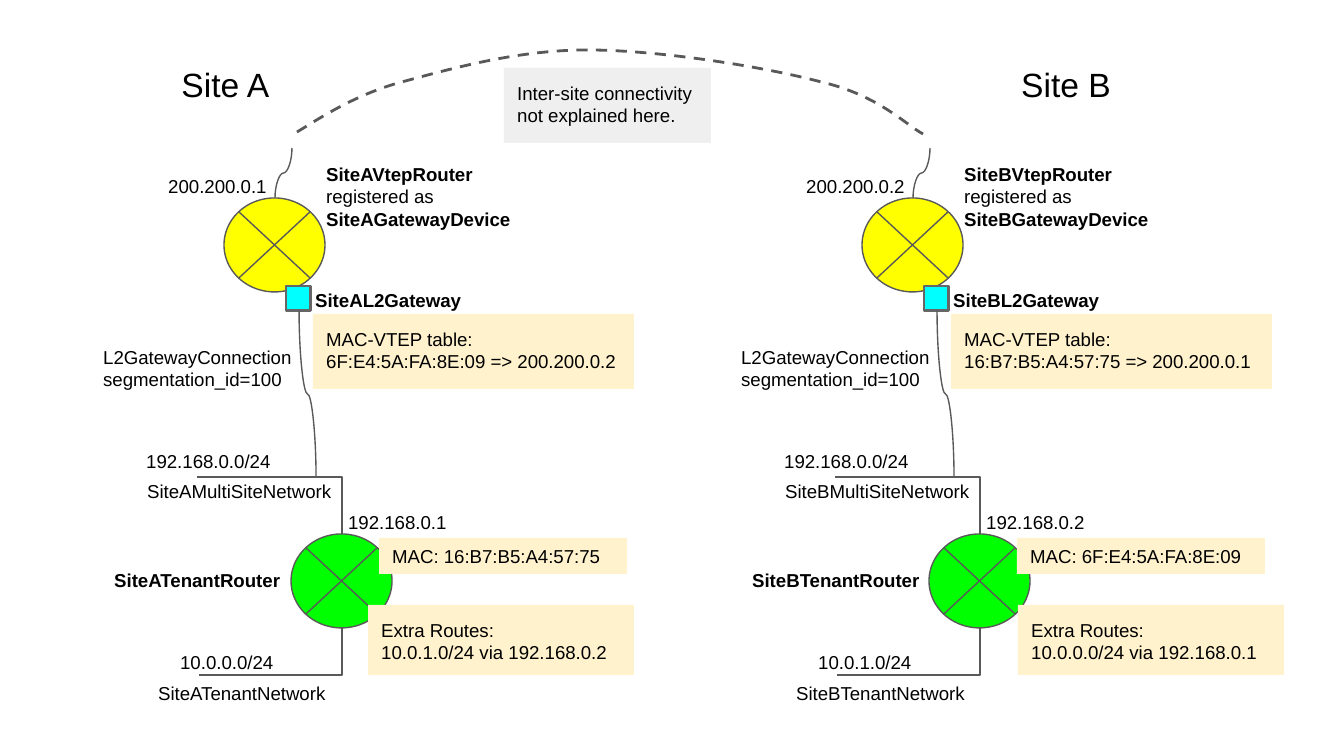
from dataclasses import dataclass
from lxml import etree
from pptx import Presentation
from pptx.dml.color import RGBColor
from pptx.enum.dml import MSO_LINE
from pptx.enum.shapes import MSO_CONNECTOR, MSO_SHAPE
from pptx.enum.text import MSO_ANCHOR, MSO_AUTO_SIZE, PP_ALIGN
from pptx.oxml.ns import qn
from pptx.util import Emu, Pt

RECT = MSO_SHAPE.RECTANGLE
JUNCTION = MSO_SHAPE.FLOWCHART_SUMMING_JUNCTION
ELBOW, CURVE = MSO_CONNECTOR.ELBOW, MSO_CONNECTOR.CURVE
TOP, MIDDLE = MSO_ANCHOR.TOP, MSO_ANCHOR.MIDDLE
DASH = MSO_LINE.DASH
SCALE = 914400 / 134.4
SHIFT = 638
TITLE_ONLY = 5


@dataclass(frozen=True)
class Theme:
    font: str = "Arial"
    head: int = 18
    body: int = 10
    ink: str = "000000"
    wire: str = "595959"
    edge: str = "666666"
    vtep: str = "FFFF00"
    tenant: str = "00FF00"
    port: str = "00FFFF"
    note: str = "FFF2CC"
    aside: str = "EFEFEF"
    thin: float = 0.75
    thick: float = 1.5


THEME = Theme()


def px(num):
    return Emu(round(num * SCALE))


def rgb(code):
    return RGBColor.from_string(code)


def put(obj, **vals):
    for name, val in vals.items():
        setattr(obj, name, val)


def place(shape, box):
    put(shape, **dict(zip(("left", "top", "width", "height"), map(px, box))))


def stroke(line, color, width):
    line.color.rgb = rgb(color)
    line.width = Pt(width)


def write(shape, text, size=THEME.body, anchor=MIDDLE):
    frame = shape.text_frame
    pad = px(13.44)
    put(frame, word_wrap=True, auto_size=MSO_AUTO_SIZE.NONE, vertical_anchor=anchor,
        margin_left=pad, margin_right=pad, margin_top=pad, margin_bottom=pad)
    for num, row in enumerate(text.split("\n")):
        para = frame.add_paragraph() if num else frame.paragraphs[0]
        para.alignment = PP_ALIGN.LEFT
        for part in row.split("|"):
            run = para.add_run()
            run.text = part.lstrip("*")
            put(run.font, name=THEME.font, size=Pt(size), bold=part.startswith("*"))
            run.font.color.rgb = rgb(THEME.ink)


def label(slide, box, text, size=THEME.body):
    write(slide.shapes.add_textbox(*map(px, box)), text, size)


def block(slide, kind, box, fill, edge=None, width=THEME.thin):
    shape = slide.shapes.add_shape(kind, *map(px, box))
    shape.shadow.inherit = False
    shape.fill.solid()
    shape.fill.fore_color.rgb = rgb(fill)
    if edge:
        stroke(shape.line, edge, width)
    else:
        shape.line.fill.background()
    return shape


def note(slide, box, text, fill=THEME.note, anchor=TOP):
    write(block(slide, RECT, box, fill), text, anchor=anchor)


def wire(slide, kind, preset, start, end):
    (ax, ay), (bx, by) = start, end
    long, wide = abs(by - ay), abs(bx - ax)
    x, y = (ax + bx - long) / 2, (ay + by - wide) / 2
    link = slide.shapes.add_connector(kind, px(x), px(y), px(x + long), px(y + wide))
    stroke(link.line, THEME.wire, THEME.thin)
    props = link._element.spPr
    etree.SubElement(props, qn("a:effectLst"))
    props.find(qn("a:prstGeom")).set("prst", preset)
    left, down = bx < ax, by > ay
    frame = props.find(qn("a:xfrm"))
    frame.set("rot", str((90 if left else 270) * 60000))
    if left != down:
        frame.set("flipH", "1")


def arc(slide, points):
    pen = slide.shapes.build_freeform(*points[0], scale=SCALE)
    pen.add_line_segments(points[1:], close=False)
    shape = pen.convert_to_shape()
    shape.shadow.inherit = False
    shape.fill.background()
    stroke(shape.line, THEME.wire, THEME.thick)
    shape.line.dash_style = DASH
    steps = list(shape._element.iter(qn("a:lnTo")))
    for num in range(0, len(steps), 3):
        first, *rest = steps[num:num + 3]
        first.tag = qn("a:cubicBezTo")
        curve = etree.Element(qn("a:cubicBezTo"))
        first.getparent().replace(first, curve)
        curve.append(first[0])
        for step in rest:
            curve.append(step[0])
            step.getparent().remove(step)


def site(slide, name, dx, vtep, gate, mac, peer, far, net, route, inset):
    def at(x, *rest):
        return (x + dx, *rest)

    block(slide, JUNCTION, at(291, 534, 101, 94), THEME.tenant, THEME.wire)
    block(slide, JUNCTION, at(224, 198, 101, 94), THEME.vtep, THEME.wire)
    block(slide, RECT, at(286, 286, 25, 25), THEME.port, THEME.edge, THEME.thick)
    for kind, preset, start, end in (
        (ELBOW, "bentConnector2", (342, 628), (199, 675)),
        (ELBOW, "bentConnector2", (342, 534), (197, 477)),
        (CURVE, "curvedConnector3", (275, 198), (292, 148)),
        (CURVE, "curvedConnector3", (299, 311), (316, 477)),
    ):
        wire(slide, kind, preset, at(*start), at(*end))
    for box, text in (
        ((155, 168, 128, 36), vtep),
        ((313, 159, 223, 75), f"*{name}VtepRouter\nregistered as|* {name}GatewayDevice"),
        ((302, 282, 199, 36), f"*{name}L2Gateway"),
        ((90, 339, 234, 58), "L2GatewayConnection\nsegmentation_id=100"),
        ((133, 448, 216, 26), "192.168.0.0/24"),
        ((134, 473, 215, 36), f"{name}MultiSiteNetwork"),
        ((335, 504, 216, 36), gate),
        ((101, 562, 199, 36), f"*{name}TenantRouter"),
        ((167, 649, 216, 26), net),
        ((145, 675, 207, 36), f"{name}TenantNetwork"),
    ):
        label(slide, at(*box), text)
    note(slide, at(313, 314, 321, 75), f"MAC-VTEP table:\n{peer} => {far}")
    note(slide, at(379, 538, 248, 36), f"MAC: {mac}", anchor=MIDDLE)
    note(slide, at(inset, 605, 266, 70), f"Extra Routes:\n{route}")


def main():
    deck = Presentation()
    put(deck, slide_width=px(1344), slide_height=px(756))
    slide = deck.slides.add_slide(deck.slide_layouts[TITLE_ONLY])
    title = slide.shapes.title
    place(title, (168, 66, 118, 36))
    write(title, "Site A", THEME.head)
    label(slide, (1008, 66, 118, 36), "Site B", THEME.head)
    mac_a, mac_b = "16:B7:B5:A4:57:75", "6F:E4:5A:FA:8E:09"
    vtep_a, vtep_b = "200.200.0.1", "200.200.0.2"
    gate_a, gate_b = "192.168.0.1", "192.168.0.2"
    net_a, net_b = "10.0.0.0/24", "10.0.1.0/24"
    site(slide, "SiteA", 0, vtep_a, gate_a, mac_a, mac_b, vtep_b,
         net_a, f"{net_b} via {gate_b}", 368)
    site(slide, "SiteB", SHIFT, vtep_b, gate_b, mac_b, mac_a, vtep_a,
         net_b, f"{net_a} via {gate_a}", 380)
    arc(slide, [(297, 132), (314, 122), (353, 95), (402, 82), (450, 69),
                (517, 50), (587, 50), (659, 50), (765, 67), (821, 82),
                (878, 95), (906, 125), (923, 134)])
    note(slide, (504, 68, 207, 75), "Inter-site connectivity not explained here.",
         THEME.aside)
    deck.save("out.pptx")


main()
